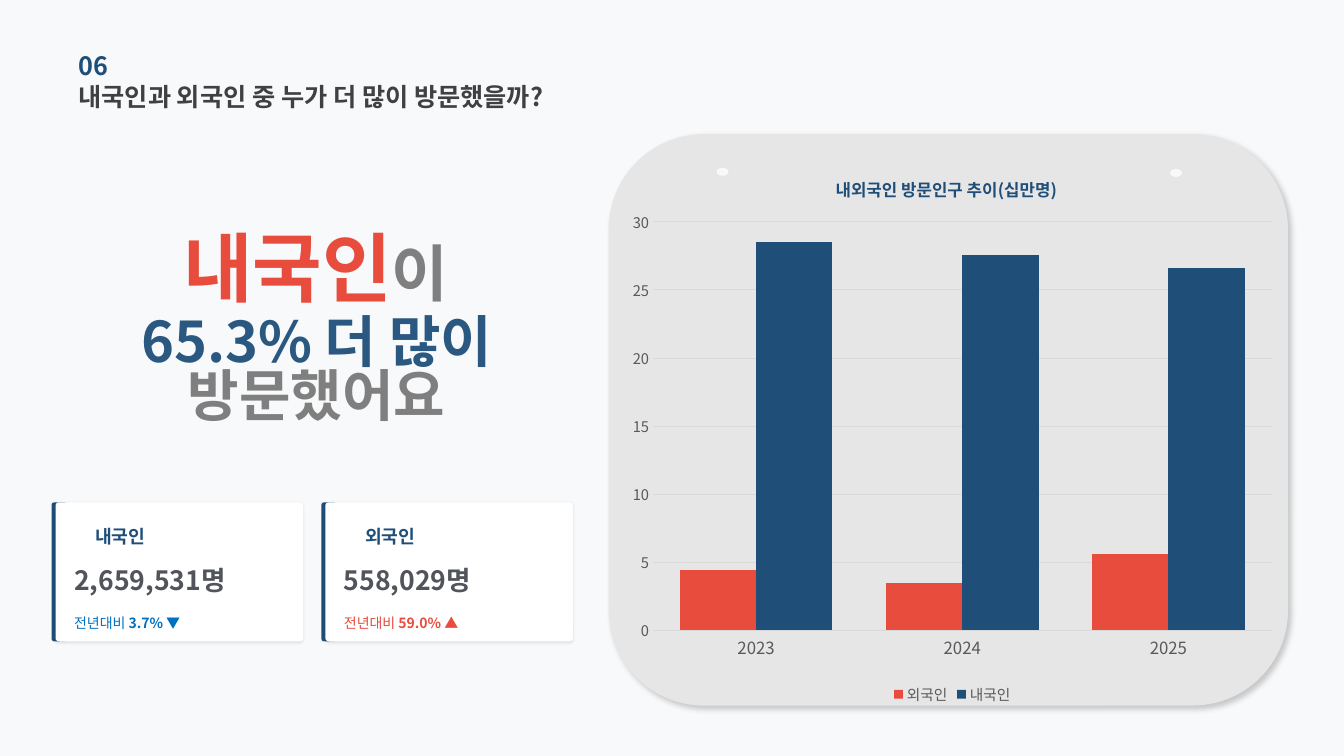
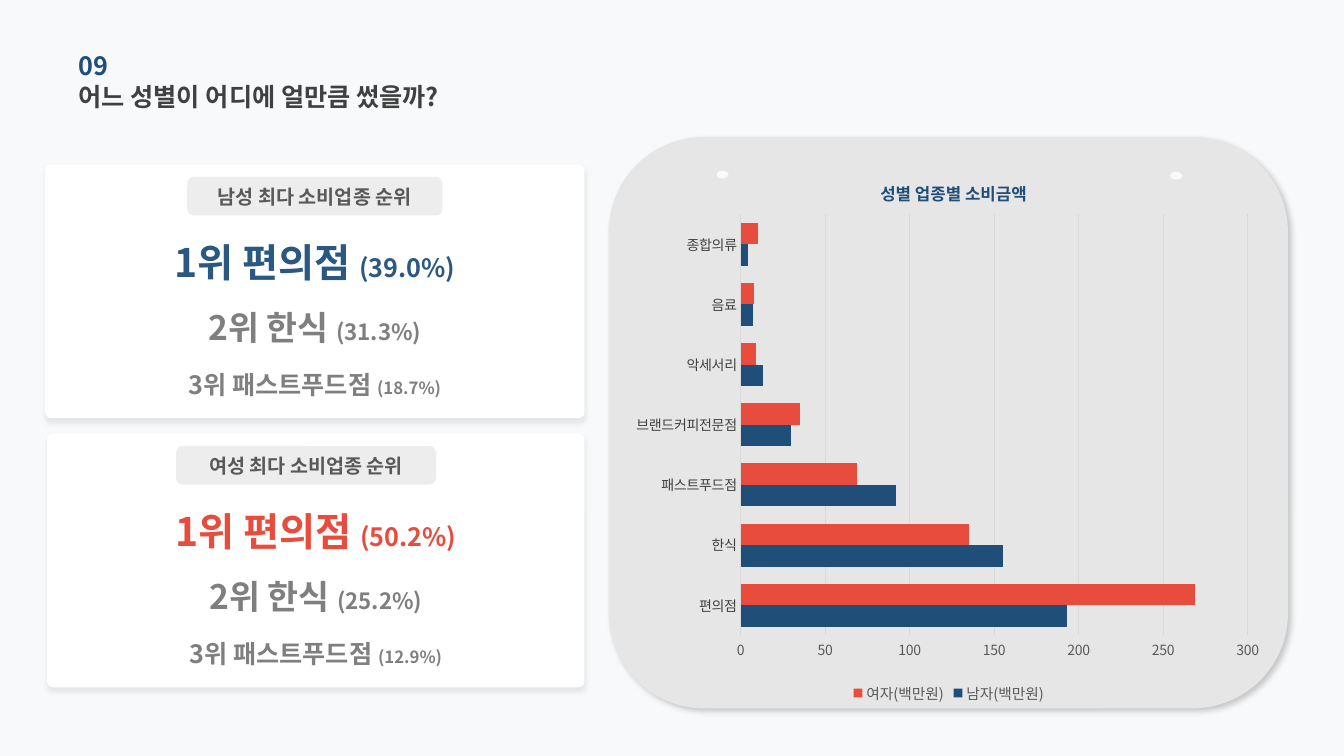
from dataclasses import dataclass

from pptx import Presentation
from pptx.chart.data import CategoryChartData
from pptx.dml.color import RGBColor
from pptx.enum.chart import XL_CHART_TYPE, XL_LEGEND_POSITION, XL_TICK_MARK
from pptx.enum.shapes import MSO_SHAPE
from pptx.enum.text import MSO_ANCHOR, PP_ALIGN
from pptx.oxml import parse_xml
from pptx.oxml.ns import nsdecls, qn
from pptx.oxml.xmlchemy import OxmlElement
from pptx.util import Cm, Pt


@dataclass(frozen=True)
class Theme:
    font: str = "Noto Sans CJK KR"
    background: str = "F8F9FA"
    card: str = "FFFFFF"
    panel: str = "E7E6E6"
    pill: str = "D0CECE"
    navy: str = "1F4E79"
    blue: str = "2B5880"
    red: str = "E74C3C"
    fall: str = "0070C0"
    heading: str = "404040"
    value: str = "51545A"
    axis: str = "595959"
    gray: str = "7F7F7F"
    grid: str = "D9D9D9"
    heading_size: float = 18
    hero_size: float = 54
    hero_suffix_size: float = 44
    statement_size: float = 40
    pill_size: float = 14
    label_size: float = 13
    value_size: float = 19
    note_size: float = 10
    chart_title_size: float = 12
    legend_size: float = 10.5
    rank_sizes: tuple = ((28, 18), (24, 16), (18, 12))


THEME = Theme()


def color(value):
    return RGBColor.from_string(value)


def set_font(font, size, fill, bold=False):
    font.name = THEME.font
    font.size = Pt(size)
    font.bold = bold
    font.color.rgb = color(fill)


def name_east_asian_fonts(element):
    """Give Korean letters the same typeface as Latin ones."""
    for latin in list(element.iter(qn("a:latin"))):
        east_asian = OxmlElement("a:ea")
        east_asian.set("typeface", THEME.font)
        latin.addnext(east_asian)


def add_shape(slide, kind, box, fill, radius=None, alpha=None, shadow=None):
    """Shadow is (opacity %, blur pt, distance pt, angle)."""
    shape = slide.shapes.add_shape(kind, *map(Cm, box))
    shape.fill.solid()
    shape.fill.fore_color.rgb = color(fill)
    shape.line.fill.background()
    shape.shadow.inherit = False
    properties = shape._element.spPr
    if radius is not None:
        shape.adjustments[0] = radius
    if alpha is not None:
        opacity = OxmlElement("a:alpha")
        opacity.set("val", str(alpha * 1000))
        properties.find(qn("a:solidFill"))[0].append(opacity)
    if shadow:
        opacity, blur, distance, angle = shadow
        properties.find(qn("a:effectLst")).append(parse_xml(
            f'<a:outerShdw {nsdecls("a")} blurRad="{Pt(blur)}" dist="{Pt(distance)}"'
            f' dir="{angle * 60000}" algn="tl" rotWithShape="0"><a:srgbClr val="000000">'
            f'<a:alpha val="{opacity * 1000}"/></a:srgbClr></a:outerShdw>'))
    return shape


def write(shape, paragraphs, align=PP_ALIGN.LEFT, spacing=None):
    """Each paragraph is a list of runs: (text, size, colour, bold)."""
    frame = shape.text_frame
    frame.word_wrap = True
    frame.vertical_anchor = MSO_ANCHOR.MIDDLE
    frame.margin_left = frame.margin_right = frame.margin_top = frame.margin_bottom = 0
    for index, runs in enumerate(paragraphs):
        paragraph = frame.add_paragraph() if index else frame.paragraphs[0]
        paragraph.alignment = align
        if spacing:
            paragraph.line_spacing = spacing
        if len({style for _, *style in map(tuple, runs) for style in [tuple(style)]}) == 1:
            set_font(paragraph.font, *runs[0][1:])
        for text, *style in runs:
            run = paragraph.add_run()
            run.text = text
            if len(runs) > 1:
                set_font(run.font, *style)


def add_text(slide, box, *paragraphs, **options):
    write(slide.shapes.add_textbox(*map(Cm, box)), paragraphs, **options)


def add_heading(slide, number, question):
    for top, text, fill in ((1.12, number, THEME.navy), (1.91, question, THEME.heading)):
        add_text(slide, (1.98, top, 13.4, 1.04), [(text, THEME.heading_size, fill, True)])


def start_slide(presentation, number, question):
    slide = presentation.slides.add_slide(presentation.slide_layouts[6])
    slide.background.fill.solid()
    slide.background.fill.fore_color.rgb = color(THEME.background)
    add_heading(slide, number, question)
    return slide


def set_layout(element, index, **fractions):
    """Fix a chart part at fractions of the chart's size."""
    for layout in element.findall(qn("c:layout")):
        element.remove(layout)
    target = '<c:layoutTarget val="inner"/>' if "w" in fractions else ""
    modes = "".join(f'<c:{key}Mode val="edge"/>' for key in "xy")
    values = "".join(f'<c:{key} val="{value}"/>' for key, value in fractions.items())
    element.insert(index, parse_xml(
        f'<c:layout {nsdecls("c")}><c:manualLayout>{target}{modes}{values}'
        '</c:manualLayout></c:layout>'))


def add_chart(slide, box, kind, title, title_place, plot_place, categories, series,
              gap, maximum, category_style, value_size):
    """Series are (name, colour, values)."""
    data = CategoryChartData()
    data.categories = categories
    for name, _, values in series:
        data.add_series(name, values)
    chart = slide.shapes.add_chart(kind, *map(Cm, box), data).chart
    set_font(chart.font, THEME.note_size, THEME.axis)

    frame = chart.chart_title.text_frame
    frame.text = title
    set_font(frame.paragraphs[0].runs[0].font, THEME.chart_title_size, THEME.navy, True)
    set_layout(chart.chart_title._element, 1, **title_place)
    set_layout(chart.element.find(".//" + qn("c:plotArea")), 0, **plot_place)

    plot = chart.plots[0]
    plot.gap_width = gap
    plot.overlap = 0
    plot.vary_by_categories = False
    for item, (_, fill, _) in zip(plot.series, series):
        item.format.fill.solid()
        item.format.fill.fore_color.rgb = color(fill)
        item.invert_if_negative = False

    category_axis, value_axis = chart.category_axis, chart.value_axis
    for axis in (category_axis, value_axis):
        axis.major_tick_mark = axis.minor_tick_mark = XL_TICK_MARK.NONE
    set_font(category_axis.tick_labels.font, *category_style)
    set_font(value_axis.tick_labels.font, value_size, THEME.axis)
    value_axis.minimum_scale = 0
    value_axis.maximum_scale = maximum
    value_axis.major_unit = maximum / 6
    value_axis.has_major_gridlines = True
    value_axis.format.line.fill.background()
    for line in (category_axis.format.line, value_axis.major_gridlines.format.line):
        line.color.rgb = color(THEME.grid)
        line.width = Pt(0.75)

    chart.has_legend = True
    chart.legend.position = XL_LEGEND_POSITION.BOTTOM
    chart.legend.include_in_layout = False
    set_font(chart.legend.font, THEME.legend_size, THEME.axis)
    name_east_asian_fonts(chart.element)


def add_chart_panel(slide, top, chart_box, **chart_options):
    """Gray panel with two pin holes; chart_box is relative to the panel."""
    left = 15.34
    add_shape(slide, MSO_SHAPE.ROUNDED_RECTANGLE, (left, top, 17.12, 14.4),
              THEME.panel, shadow=(20, 4, 3, 45))
    for x, y in ((2.72, 0.85), (14.15, 0.88)):
        add_shape(slide, MSO_SHAPE.OVAL, (left + x, top + y, 0.3, 0.2), THEME.background)
    x, y, width, height = chart_box
    add_chart(slide, (left + x, top + y, width, height), **chart_options)


def add_visitor_card(slide, box, label, value, change, fill):
    left, top, width, height = box
    add_shape(slide, MSO_SHAPE.ROUNDED_RECTANGLE, (left - 0.1, top, 0.38, height), THEME.navy)
    add_shape(slide, MSO_SHAPE.ROUNDED_RECTANGLE, box, THEME.card,
              radius=0.023, shadow=(10, 2, 1, 90))
    add_text(slide, (left + 1, top + 0.5, 1.7, 0.72),
             [(label, THEME.label_size, THEME.navy, True)])
    add_text(slide, (left + 0.47, top + 1.45, 5.6, 1),
             [(value, THEME.value_size, THEME.value, True)])
    add_text(slide, (left + 0.47, top + 2.46, 5.6, 1.14),
             [("전년대비 ", THEME.note_size, fill, False), (change, THEME.note_size, fill, True)])


def add_ranking_card(slide, box, pill_left, pill_width, title, ranks, first_fill):
    left, top, width, _ = box
    add_shape(slide, MSO_SHAPE.ROUNDED_RECTANGLE, box, THEME.card,
              radius=0.023, shadow=(8, 4, 3, 90))
    pill = add_shape(slide, MSO_SHAPE.ROUNDED_RECTANGLE,
                     (left + pill_left, top + 0.32, pill_width, 0.97), THEME.pill, alpha=36)
    write(pill, [[(title, THEME.pill_size, THEME.axis, True)]], align=PP_ALIGN.CENTER)
    fills = (first_fill, THEME.gray, THEME.gray)
    for (name, share), sizes, fill, middle in zip(
            ranks, THEME.rank_sizes, fills, (2.46, 4.09, 5.54)):
        add_text(slide, (left, top + middle - 0.75, width, 1.5),
                 [(f"{name} ", sizes[0], fill, True), (f"({share})", sizes[1], fill, True)],
                 align=PP_ALIGN.CENTER)


def add_statement(slide):
    add_text(slide, (2.51, 5.31, 10.9, 2.8),
             [("내국인", THEME.hero_size, THEME.red, True),
              ("이", THEME.hero_suffix_size, THEME.gray, True)], align=PP_ALIGN.CENTER)
    add_text(slide, (0.97, 7.4, 14.02, 4),
             [("65.3% 더 많이", THEME.statement_size, THEME.blue, True)],
             [("방문했어요", THEME.statement_size, THEME.gray, True)],
             align=PP_ALIGN.CENTER, spacing=0.8)


def build_visitor_slide(presentation):
    slide = start_slide(presentation, "06", "내국인과 외국인 중 누가 더 많이 방문했을까?")
    add_statement(slide)
    add_visitor_card(slide, (1.4, 12.66, 6.24, 3.5), "내국인", "2,659,531명", "3.7% ▼", THEME.fall)
    add_visitor_card(slide, (8.2, 12.66, 6.24, 3.5), "외국인", "558,029명", "59.0% ▲", THEME.red)
    add_chart_panel(
        slide, 3.38, (0.28, 0.38, 16.76, 14.1),
        kind=XL_CHART_TYPE.COLUMN_CLUSTERED, title="내외국인 방문인구 추이(십만명)",
        title_place={"x": 0.32, "y": 0.04},
        plot_place={"x": 0.05, "y": 0.13, "w": 0.93, "h": 0.73},
        categories=("2023", "2024", "2025"),
        series=(("외국인", THEME.red, (4.4, 3.5, 5.6)),
                ("내국인", THEME.navy, (28.5, 27.6, 26.6))),
        gap=70, maximum=30, category_style=(12, THEME.axis), value_size=10.5)
    name_east_asian_fonts(slide.element)


def build_spending_slide(presentation):
    slide = start_slide(presentation, "09", "어느 성별이 어디에 얼만큼 썼을까?")
    names = ("1위 편의점", "2위 한식", "3위 패스트푸드점")
    add_ranking_card(slide, (1.14, 4.14, 13.59, 6.4), 3.58, 6.43, "남성 최다 소비업종 순위",
                     zip(names, ("39.0%", "31.3%", "18.7%")), THEME.blue)
    add_ranking_card(slide, (1.19, 10.92, 13.54, 6.4), 3.25, 6.55, "여성 최다 소비업종 순위",
                     zip(names, ("50.2%", "25.2%", "12.9%")), THEME.red)
    add_chart_panel(
        slide, 3.45, (0.38, 0.41, 16.38, 13.97),
        kind=XL_CHART_TYPE.BAR_CLUSTERED, title="성별 업종별 소비금액",
        title_place={"x": 0.39, "y": 0.04},
        plot_place={"x": 0.18, "y": 0.11, "w": 0.78, "h": 0.76},
        categories=("편의점", "한식", "패스트푸드점", "브랜드커피전문점", "악세서리", "음료", "종합의류"),
        series=(("남자(백만원)", THEME.navy, (193, 155, 92, 30, 13, 7, 4)),
                ("여자(백만원)", THEME.red, (269, 135, 69, 35, 9, 8, 10))),
        gap=80, maximum=300, category_style=(10, THEME.heading), value_size=10)
    name_east_asian_fonts(slide.element)


def main():
    presentation = Presentation()
    presentation.slide_width = Cm(33.87)
    presentation.slide_height = Cm(19.05)
    build_visitor_slide(presentation)
    build_spending_slide(presentation)
    presentation.save("out.pptx")


if __name__ == "__main__":
    main()
